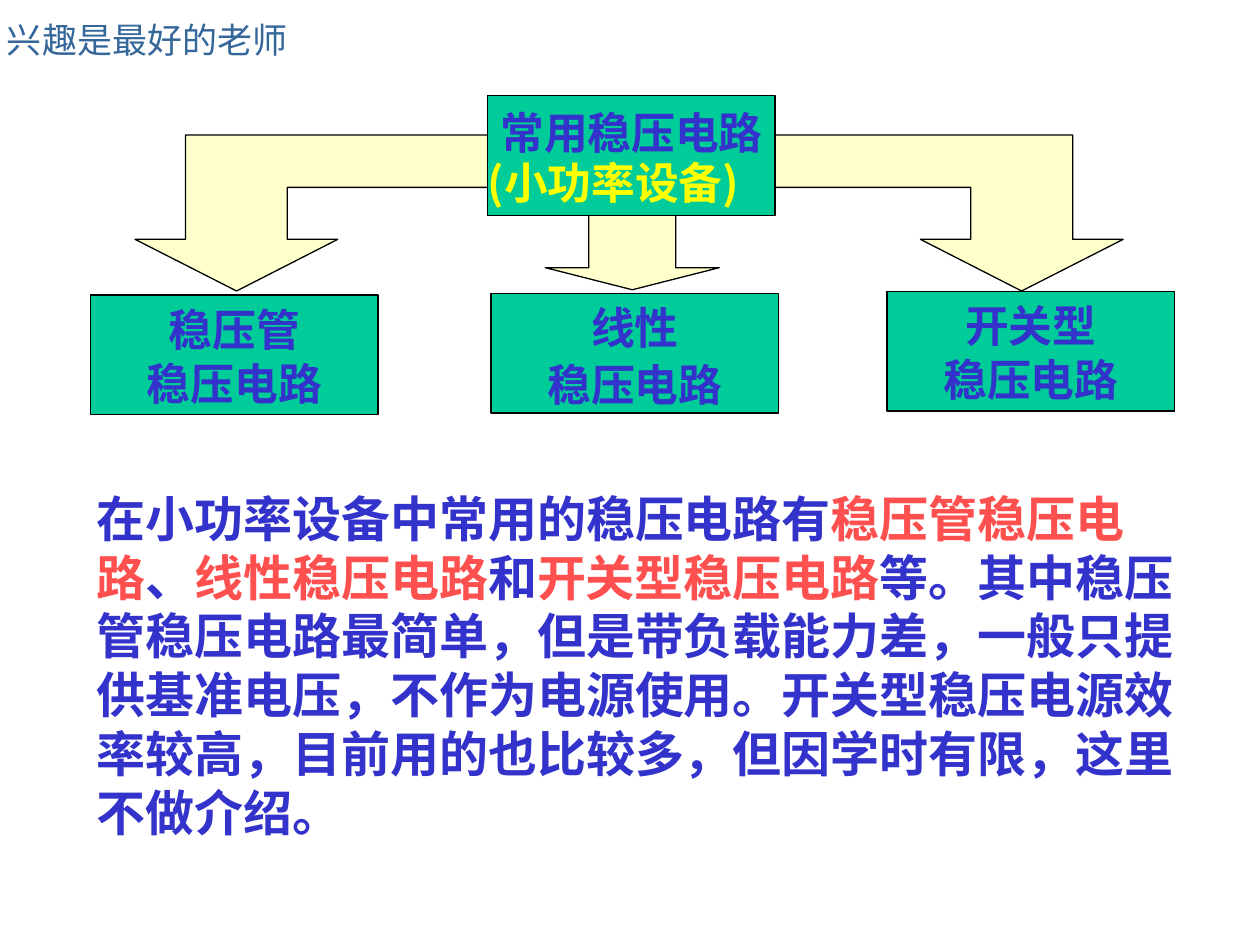
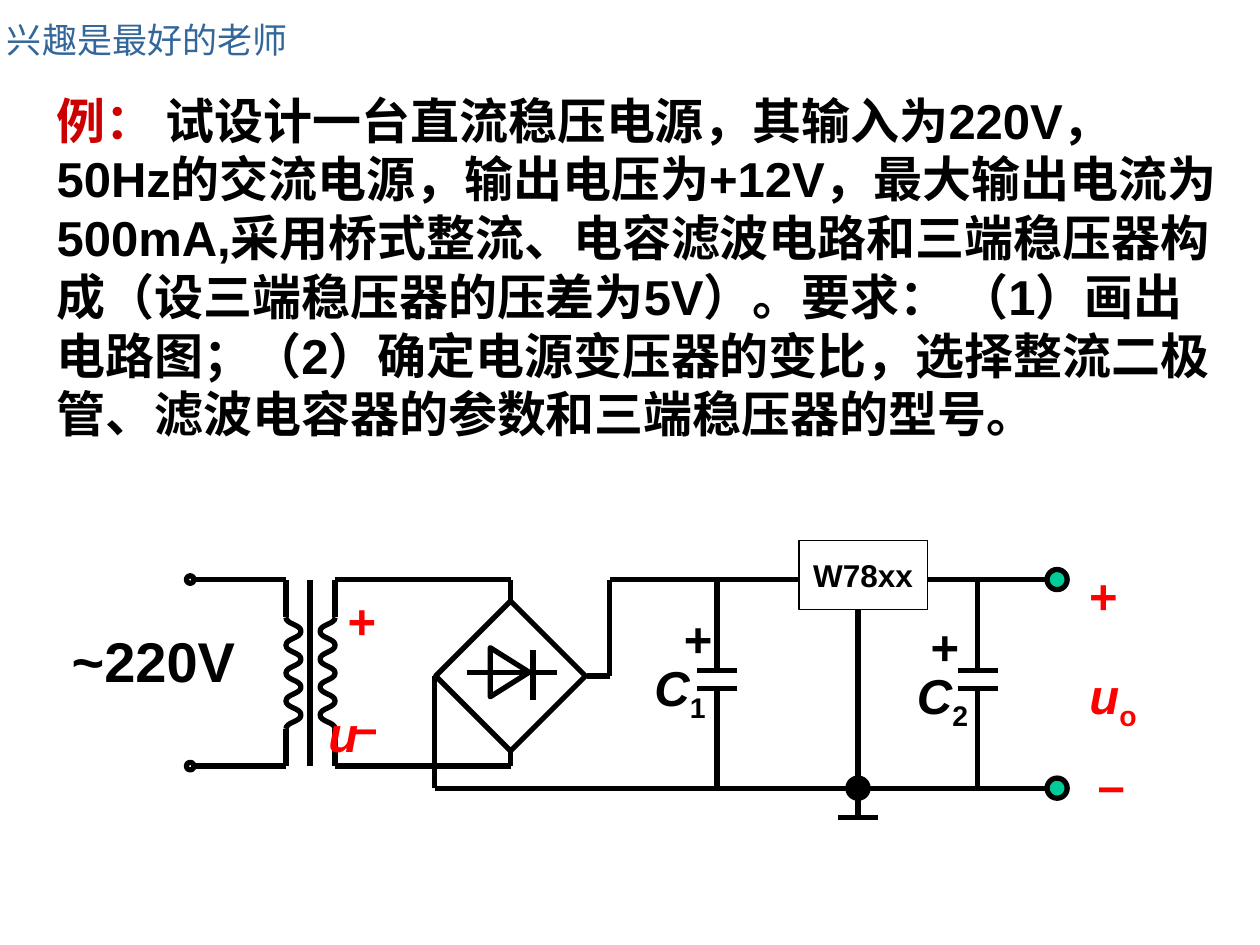
from itertools import pairwise

from pptx import Presentation
from pptx.dml.color import RGBColor
from pptx.enum.shapes import MSO_CONNECTOR, MSO_SHAPE as SHAPE
from pptx.enum.text import MSO_ANCHOR as ANCHOR, MSO_AUTO_SIZE, PP_ALIGN as ALIGN
from pptx.oxml.ns import qn
from pptx.util import Pt

COLORS = {
    "header": "336699",
    "box": "00CC99",
    "arrow": "FFFFCC",
    "blue": "3333CC",
    "yellow": "FFFF00",
    "coral": "FF5050",
    "example": "CC0000",
    "red": "FF0000",
    "black": "000000",
}
CHINESE_FONT = "Noto Sans CJK SC"
HEADER = "兴趣是最好的老师"
BODY_LINE = 33.55
THIN, WIRE = 0.75, 3

# Circuit levels and columns
TOP_RAIL, LOW_RAIL, GROUND = 331.2, 437.8, 450.4
PRIMARY_X, CORE_X, SECONDARY_X = 163.4, 177.1, 191.5
COIL_TOP, COIL_BOTTOM = 352.8, 416.5
BRIDGE_X, BRIDGE_Y, BRIDGE_RADIUS = 291.8, 386.3, 42.8
REGULATOR_X, OUTPUT_X = 490.3, 604.1


def color(name):
    return RGBColor.from_string(COLORS[name])


def add_run(paragraph, text, size=28, ink="black", font="Arial",
            bold=True, italic=False, subscript=False):
    run = paragraph.add_run()
    run.text = text
    run.font.size = Pt(size)
    run.font.name = font
    run.font.bold = bold
    run.font.italic = italic
    run.font.color.rgb = color(ink)
    properties = run._r.get_or_add_rPr()
    east_asian = properties.makeelement(qn("a:ea"), {"typeface": CHINESE_FONT})
    properties.find(qn("a:latin")).addnext(east_asian)
    if subscript:
        properties.set("baseline", "-25000")


def format_frame(frame, wrap=False, anchor=ANCHOR.TOP, top_inset=0):
    frame.word_wrap = wrap
    frame.auto_size = MSO_AUTO_SIZE.NONE
    frame.vertical_anchor = anchor
    frame.margin_left = frame.margin_right = frame.margin_bottom = 0
    frame.margin_top = Pt(top_inset)


def style_shape(shape, fill=None, line_width=THIN):
    shape.shadow.inherit = False
    if fill:
        shape.fill.solid()
        shape.fill.fore_color.rgb = color(fill)
    else:
        shape.fill.background()
    shape.line.color.rgb = color("black")
    shape.line.width = Pt(line_width)
    return shape


def add_shape(slide, kind, left, top, width, height, **style):
    shape = slide.shapes.add_shape(kind, Pt(left), Pt(top), Pt(width), Pt(height))
    return style_shape(shape, **style)


def add_outline(slide, points, close, **style):
    points = [(Pt(x), Pt(y)) for x, y in points]
    builder = slide.shapes.build_freeform(*points[0])
    builder.add_line_segments(points[1:], close=close)
    return style_shape(builder.convert_to_shape(), **style)


def add_wire(slide, *points):
    """Draw straight lines through the points."""
    for start, end in pairwise(points):
        ends = [Pt(value) for value in (*start, *end)]
        line = slide.shapes.add_connector(MSO_CONNECTOR.STRAIGHT, *ends)
        line.line.color.rgb = color("black")
        line.line.width = Pt(WIRE)
        properties = line._element.spPr
        properties.append(properties.makeelement(qn("a:effectLst"), {}))


def add_body(slide, left, top, width, height, runs):
    box = slide.shapes.add_textbox(Pt(left), Pt(top), Pt(width), Pt(height))
    format_frame(box.text_frame, wrap=True)
    paragraph = box.text_frame.paragraphs[0]
    paragraph.line_spacing = Pt(BODY_LINE)
    paragraph._p.get_or_add_pPr().set("hangingPunct", "0")
    for text, ink in runs:
        add_run(paragraph, text, ink=ink)


def add_label(slide, center, top, text, subscript="", **text_format):
    width = 80
    box = slide.shapes.add_textbox(Pt(center - width / 2), Pt(top), Pt(width), Pt(36))
    format_frame(box.text_frame)
    paragraph = box.text_frame.paragraphs[0]
    paragraph.alignment = ALIGN.CENTER
    add_run(paragraph, text, **text_format)
    if subscript:
        add_run(paragraph, subscript, subscript=True, ink=text_format.get("ink", "black"))


def add_circuit_box(slide, left, top, lines, line_height=31, top_inset=0):
    box = add_shape(slide, SHAPE.RECTANGLE, left, top, 164.2, 68.4, fill="box")
    frame = box.text_frame
    format_frame(frame, wrap=True, anchor=ANCHOR.MIDDLE, top_inset=top_inset)
    for index, (text, ink, alignment) in enumerate(lines):
        paragraph = frame.add_paragraph() if index else frame.paragraphs[0]
        paragraph.alignment = alignment
        paragraph.line_spacing = Pt(line_height)
        add_run(paragraph, text, size=25, ink=ink, font=CHINESE_FONT)


def add_circle(slide, x, y, diameter, fill=None):
    radius = diameter / 2
    add_shape(slide, SHAPE.OVAL, x - radius, y - radius, diameter, diameter,
              fill=fill, line_width=WIRE)


def add_coil(slide, x, bulge, half_turns=8):
    """Draw a winding that swings between x and x + bulge in smooth curves."""
    step = (COIL_BOTTOM - COIL_TOP) / half_turns
    points = [(x + bulge * (index % 2), COIL_TOP + step * index)
              for index in range(half_turns + 1)]
    coil = add_outline(slide, points, close=False, line_width=WIRE)
    tag = qn("a:pt")
    ends = [(point.get("x"), int(point.get("y"))) for point in coil._element.iter(tag)]
    segments = list(coil._element.iter(qn("a:lnTo")))
    for segment, ((start_x, start_y), (end_x, end_y)) in zip(segments, pairwise(ends)):
        middle_y = (start_y + end_y) // 2
        curve = segment.makeelement(qn("a:cubicBezTo"), {})
        for point_x, point_y in ((start_x, middle_y), (end_x, middle_y), (end_x, end_y)):
            curve.append(curve.makeelement(tag, {"x": point_x, "y": str(point_y)}))
        segment.getparent().replace(segment, curve)


def add_capacitor(slide, x):
    upper, lower, half_plate = 383, 393.5, 11.4
    add_wire(slide, (x, TOP_RAIL), (x, upper))
    add_wire(slide, (x, lower), (x, GROUND))
    for y in (upper, lower):
        add_wire(slide, (x - half_plate, y), (x + half_plate, y))


def add_headed_slide(presentation):
    slide = presentation.slides.add_slide(presentation.slide_layouts[5])
    title = slide.shapes.title
    title.left, title.top, title.width, title.height = Pt(4), Pt(10), Pt(164), Pt(25)
    format_frame(title.text_frame, anchor=ANCHOR.MIDDLE)
    paragraph = title.text_frame.paragraphs[0]
    paragraph.alignment = ALIGN.LEFT
    add_run(paragraph, HEADER, size=20, ink="header", font=CHINESE_FONT, bold=False)
    return slide


def build_overview(presentation):
    slide = add_headed_slide(presentation)
    down_arrow = add_shape(slide, SHAPE.DOWN_ARROW, 311.6, 115.2, 99.4, 50.4, fill="arrow")
    down_arrow.adjustments[0], down_arrow.adjustments[1] = 0.5, 0.25

    left_arrow = [(135.2, 166.3), (193, 136.8), (164.2, 136.8), (164.2, 107.1),
                  (279.4, 107.1), (279.4, 77.2), (106, 77.2), (106, 136.8), (77.2, 136.8)]
    right_arrow = [(719 - x, y) for x, y in left_arrow]
    for points in (left_arrow, right_arrow):
        add_outline(slide, points, close=True, fill="arrow")

    for left, top, name, line_height in (
        (51.8, 168.6, "稳压管", 31),
        (506.9, 166.5, "开关型", 31),
        (280.6, 167.7, "线性", 32.5),
    ):
        lines = [(name, "blue", ALIGN.CENTER), ("稳压电路", "blue", ALIGN.CENTER)]
        add_circuit_box(slide, left, top, lines, line_height)
    heading = [("常用稳压电路", "blue", ALIGN.CENTER), ("(小功率设备)", "yellow", ALIGN.LEFT)]
    add_circuit_box(slide, 278.7, 54.7, heading, line_height=29, top_inset=2.5)

    add_body(slide, 55.3, 279.3, 623.7, 202, [
        ("在小功率设备中常用的稳压电路有", "blue"),
        ("稳压管稳压电路", "coral"),
        ("、", "blue"),
        ("线性稳压电路", "coral"),
        ("和", "blue"),
        ("开关型稳压电路", "coral"),
        ("等。其中稳压管稳压电路最简单，但是带负载能力差，一般只提供基准电压，"
         "不作为电源使用。开关型稳压电源效率较高，目前用的也比较多，"
         "但因学时有限，这里不做介绍。", "blue"),
    ])


def draw_transformer(slide):
    for rail, coil_end in ((TOP_RAIL, COIL_TOP), (LOW_RAIL, COIL_BOTTOM)):
        add_wire(slide, (110.9, rail), (PRIMARY_X, rail), (PRIMARY_X, coil_end))
        add_circle(slide, 108.7, rail, 4.3)
    add_wire(slide, (CORE_X, TOP_RAIL), (CORE_X, LOW_RAIL))
    add_coil(slide, PRIMARY_X, 8.6)
    add_coil(slide, SECONDARY_X, -8.6)


def draw_bridge(slide):
    for rail, coil_end, corner in (
        (TOP_RAIL, COIL_TOP, BRIDGE_Y - BRIDGE_RADIUS),
        (LOW_RAIL, COIL_BOTTOM, BRIDGE_Y + BRIDGE_RADIUS),
    ):
        add_wire(slide, (SECONDARY_X, coil_end), (SECONDARY_X, rail),
                 (BRIDGE_X, rail), (BRIDGE_X, corner))
    add_shape(slide, SHAPE.DIAMOND, BRIDGE_X - BRIDGE_RADIUS, BRIDGE_Y - BRIDGE_RADIUS,
              2 * BRIDGE_RADIUS, 2 * BRIDGE_RADIUS, line_width=WIRE)
    add_wire(slide, (267.1, 384.5), (318.2, 384.5))
    add_wire(slide, (304.6, 371.5), (304.6, 400.3))
    diode = add_shape(slide, SHAPE.ISOSCELES_TRIANGLE, 277.2, 373, 28.1, 22.3, line_width=WIRE)
    diode.rotation = 90


def draw_regulator(slide):
    add_wire(slide, (248.4, BRIDGE_Y), (248.4, GROUND), (OUTPUT_X, GROUND))
    add_wire(slide, (335.5, BRIDGE_Y), (348.5, BRIDGE_Y), (348.5, TOP_RAIL), (433.4, TOP_RAIL))
    add_wire(slide, (422.6, TOP_RAIL), (456.5, TOP_RAIL))
    add_wire(slide, (529.9, TOP_RAIL), (OUTPUT_X, TOP_RAIL))
    for x in (409.7, 558.7):
        add_capacitor(slide, x)
    regulator = add_shape(slide, SHAPE.RECTANGLE, 456.5, 308.9, 73.4, 39.6)
    format_frame(regulator.text_frame, anchor=ANCHOR.MIDDLE)
    paragraph = regulator.text_frame.paragraphs[0]
    paragraph.alignment = ALIGN.CENTER
    add_run(paragraph, "W78xx", size=18)
    add_wire(slide, (REGULATOR_X, 348.5), (REGULATOR_X, 467.3))
    add_wire(slide, (REGULATOR_X - 11.5, 467.3), (REGULATOR_X + 11.5, 467.3))
    for x, y, fill in ((OUTPUT_X, TOP_RAIL, "box"), (OUTPUT_X, GROUND, "box"),
                       (REGULATOR_X, GROUND, "black")):
        add_circle(slide, x, y, 11.5, fill)


def label_circuit(slide):
    add_label(slide, 87.7, 357.8, "~220V", size=32)
    add_label(slide, 196.2, 402, "u", ink="red", italic=True)
    add_label(slide, 636, 380.2, "u", "o", ink="red", italic=True)
    add_label(slide, 388.6, 375.8, "C", "1", italic=True)
    add_label(slide, 538.6, 380.2, "C", "2", italic=True)
    for center, top, sign, ink in (
        (206.8, 337.7, "+", "red"),
        (208, 398.2, "–", "red"),
        (630.5, 323.3, "+", "red"),
        (635, 431.3, "–", "red"),
        (399, 347.8, "+", "black"),
        (540, 352.1, "+", "black"),
    ):
        add_label(slide, center, top, sign, ink=ink)


def build_example(presentation):
    slide = add_headed_slide(presentation)
    add_body(slide, 32.4, 51.7, 663.2, 236, [
        ("例：", "example"),
        (" 试设计一台直流稳压电源，其输入为220V，50Hz的交流电源，输出电压为+12V，"
         "最大输出电流为 500mA,采用桥式整流、电容滤波电路和三端稳压器构成"
         "（设三端稳压器的压差为5V）。要求： （1）画出电路图；"
         "（2）确定电源变压器的变比，选择整流二极管、滤波电容器的参数和三端稳压器的型号。",
         "black"),
    ])
    draw_transformer(slide)
    draw_bridge(slide)
    draw_regulator(slide)
    label_circuit(slide)


def main():
    presentation = Presentation()
    presentation.slide_width, presentation.slide_height = Pt(720), Pt(540)
    build_overview(presentation)
    build_example(presentation)
    presentation.save("out.pptx")


if __name__ == "__main__":
    main()
